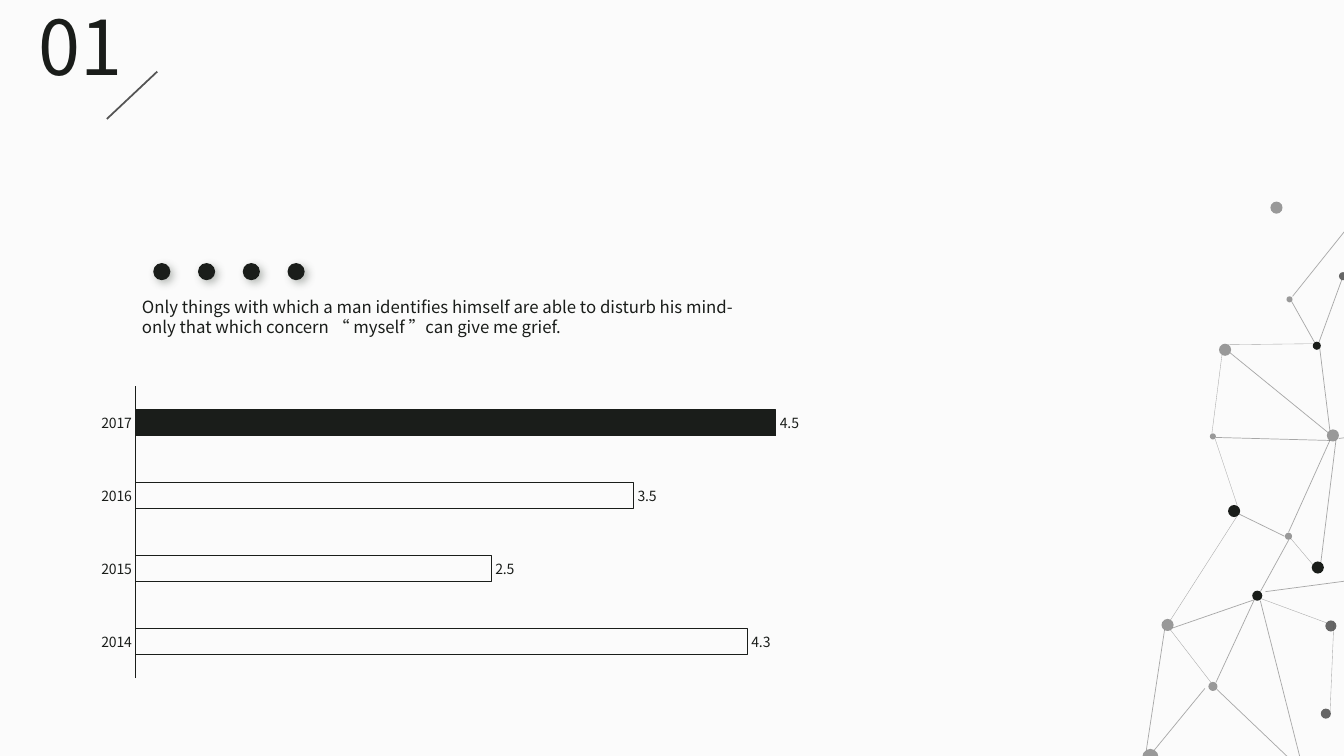
from lxml import etree
from pptx import Presentation
from pptx.chart.data import CategoryChartData
from pptx.dml.color import RGBColor
from pptx.enum import chart as ch, shapes, text
from pptx.oxml import parse_xml
from pptx.oxml.ns import nsdecls, qn
from pptx.util import Inches, Pt

INK = RGBColor(0x1A, 0x1D, 0x1A)
LINE = RGBColor(0x54, 0x54, 0x54)
DARK = RGBColor(0x66, 0x66, 0x66)
PALE = RGBColor(0x99, 0x99, 0x99)
PAPER = RGBColor(0xFB, 0xFB, 0xFB)
FONT = "Noto Sans CJK SC"

deck = Presentation()
deck.slide_width, deck.slide_height = Inches(13.33), Inches(7.5)
page = deck.slides.add_slide(deck.slide_layouts[5])
page.background.fill.solid()
page.background.fill.fore_color.rgb = PAPER


def add_dot(x, y, size, color):
    """Draw a filled circle around the centre x, y."""
    dot = page.shapes.add_shape(shapes.MSO_SHAPE.OVAL, Inches(x - size / 2),
                                Inches(y - size / 2), Inches(size), Inches(size))
    dot.shadow.inherit = False
    dot.fill.solid()
    dot.fill.fore_color.rgb = color
    dot.line.fill.background()
    return dot


def add_line(start, end, width):
    ends = [Inches(value) for value in start + end]
    line = page.shapes.add_connector(shapes.MSO_CONNECTOR.STRAIGHT, *ends)
    line.line.color.rgb = LINE
    line.line.width = Pt(width)
    etree.SubElement(line._element.spPr, qn("a:effectLst"))
    return line


# Section number
title = page.shapes.title
title.left, title.top, title.width, title.height = map(Inches, (0.28, 0, 1.14, 1.08))
title.text = "01"
frame_format = dict(auto_size=text.MSO_AUTO_SIZE.NONE, word_wrap=True,
                    vertical_anchor=text.MSO_ANCHOR.TOP, margin_left=Inches(0.1),
                    margin_right=Inches(0.1), margin_top=0, margin_bottom=0)
for name, value in frame_format.items():
    setattr(title.text_frame, name, value)
para = title.text_frame.paragraphs[0]
para.alignment = text.PP_ALIGN.JUSTIFY
para.font.size, para.font.name, para.font.color.rgb = Pt(54), FONT, INK
add_line((1.56, 0.71), (1.06, 1.18), 1.25)

# Bar chart of the years
data = CategoryChartData()
data.categories = ["2014", "2015", "2016", "2017"]
data.add_series("Series 1", (4.3, 2.5, 3.5, 4.5))
chart = page.shapes.add_chart(ch.XL_CHART_TYPE.BAR_CLUSTERED, Inches(0.38), Inches(3.57),
                              Inches(8.12), Inches(3.2), data).chart
chart.has_legend = chart.has_title = False
chart.font.size, chart.font.name, chart.font.color.rgb = Pt(10), FONT, INK
years, amounts = chart.category_axis, chart.value_axis
years.major_tick_mark = ch.XL_TICK_MARK.NONE
years.has_major_gridlines = amounts.has_major_gridlines = False
years.format.line.color.rgb = INK
years.format.line.width = Pt(0.75)
amounts.minimum_scale, amounts.maximum_scale = 0, 5
amounts.visible = False

plot = chart.plots[0]
plot.gap_width = 182
plot.vary_by_categories = False
plot.has_data_labels = True
plot.data_labels.show_value = True
plot.data_labels.position = ch.XL_LABEL_POSITION.OUTSIDE_END
for i in range(4):
    bar = plot.series[0].points[i].format
    if i == 3:
        bar.fill.solid()
        bar.fill.fore_color.rgb = INK
    else:
        bar.fill.background()
    bar.line.color.rgb = INK
    bar.line.width = Pt(0.75)

plot_area = chart._chartSpace.chart.plotArea
for old_layout in plot_area.findall(qn("c:layout")):
    plot_area.remove(old_layout)
plot_area.insert(0, parse_xml(
    f'<c:layout {nsdecls("c")}><c:manualLayout><c:layoutTarget val="inner"/>'
    '<c:xMode val="edge"/><c:yMode val="edge"/><c:x val="0.119"/><c:y val="0.082"/>'
    '<c:w val="0.869"/><c:h val="0.905"/></c:manualLayout></c:layout>'))

# Network at the right edge: centre, diameter, colour
nodes = [
    (13.32, 2.74, 0.08, DARK), (12.66, 2.06, 0.12, PALE), (12.15, 3.47, 0.12, PALE),
    (12.24, 5.07, 0.12, INK), (12.03, 4.33, 0.06, PALE), (12.79, 2.97, 0.06, PALE),
    (13.07, 5.63, 0.12, INK), (13.22, 4.32, 0.12, PALE), (13.06, 3.43, 0.08, INK),
    (12.78, 5.32, 0.07, PALE), (13.2, 6.21, 0.11, DARK), (13.15, 7.08, 0.1, DARK),
    (11.58, 6.2, 0.12, PALE), (12.03, 6.81, 0.09, PALE), (11.41, 7.51, 0.16, PALE),
    (12.47, 5.91, 0.1, INK)]
for node in nodes:
    add_dot(*node)

links = {
    0.25: [((13.19, 7.11), (13.23, 6.16)), ((12.05, 4.35), (12.27, 5.01)),
           ((12.12, 3.52), (12.02, 4.3)), ((13.02, 3.41), (12.18, 3.42)),
           ((13.02, 5.6), (12.8, 5.34)), ((12.27, 5.12), (11.61, 6.15)),
           ((11.61, 6.25), (12.01, 6.77)), ((12.51, 5.94), (13.16, 6.18))],
    0.5: [((11.55, 6.25), (11.37, 7.44)), ((11.63, 6.23), (12.44, 5.95)),
          ((13.1, 5.58), (13.25, 4.37)), ((12.78, 5.28), (13.19, 4.37)),
          ((13.08, 3.4), (13.31, 2.77)), ((12.82, 2.94), (13.38, 2.24)),
          ((12.2, 3.5), (13.17, 4.29)), ((13.28, 4.35), (13.85, 4.28)),
          ((13.38, 5.76), (12.55, 5.87)), ((12.5, 5.96), (12.93, 7.66)),
          ((12.06, 4.34), (13.19, 4.37)), ((12.29, 5.1), (12.74, 5.32)),
          ((13.09, 3.46), (13.19, 4.27)), ((12.81, 2.99), (13.04, 3.4)),
          ((12.78, 5.36), (12.5, 5.87)), ((11.95, 6.83), (11.45, 7.44)),
          ((12.93, 7.66), (12.07, 6.84)), ((12.44, 5.95), (12.06, 6.77))]}
for width, pairs in links.items():
    for start, end in pairs:
        link = add_line(start, end, width)
        color = link._element.spPr.find(".//" + qn("a:srgbClr"))
        etree.SubElement(color, qn("a:alpha"), val="50000")

# Quotation with four dots above it
box = page.shapes.add_textbox(Inches(1.31), Inches(2.89), Inches(6.31), Inches(0.59))
box.text_frame.word_wrap = True
para = box.text_frame.paragraphs[0]
para.line_spacing = 1.0
span = para.add_run()
span.text = ("Only things with which a man identifies himself are able to disturb his mind-"
             "only that which concern “ myself ”can give me grief.")
span.font.size, span.font.name, span.font.color.rgb = Pt(12), FONT, INK
etree.SubElement(span.font._element, qn("a:ea"), typeface=FONT)

for i in range(4):
    dot = add_dot(1.605 + 0.444 * i, 2.695, 0.17, INK)
    effects = dot._element.spPr.find(qn("a:effectLst"))
    effects.append(parse_xml(
        f'<a:outerShdw {nsdecls("a")} blurRad="{Pt(6)}" dist="{Pt(3)}" dir="2700000" '
        'algn="tl" rotWithShape="0"><a:srgbClr val="505950"><a:alpha val="40000"/>'
        '</a:srgbClr></a:outerShdw>'))

deck.save("out.pptx")
